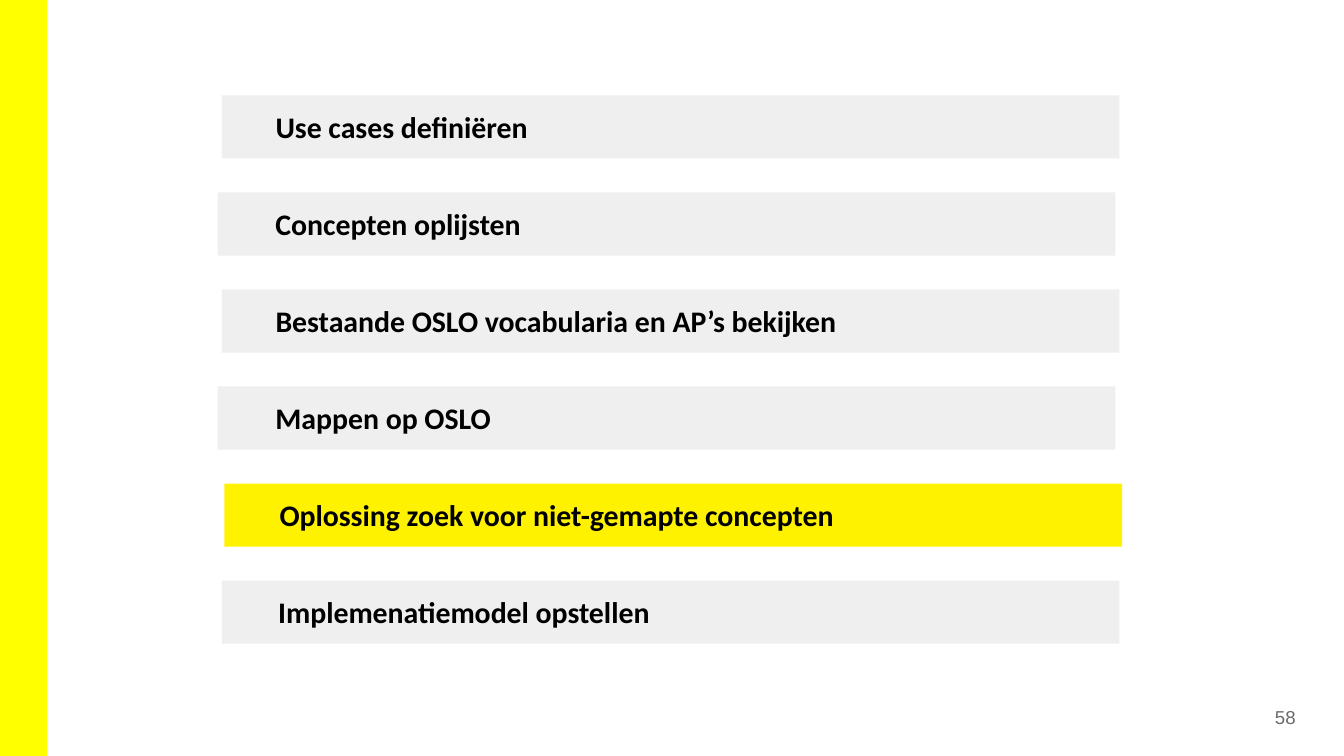
from dataclasses import dataclass

from pptx import Presentation
from pptx.dml.color import RGBColor
from pptx.enum.shapes import MSO_SHAPE
from pptx.enum.text import MSO_ANCHOR, PP_ALIGN
from pptx.util import Inches, Pt


@dataclass(frozen=True)
class Theme:
    accent: str = "FFFF00"
    highlight: str = "FFF200"
    bar: str = "EFEFEF"
    text: str = "000000"
    muted: str = "6B6B6B"
    step_font: str = "Calibri"
    number_font: str = "Arial"
    step_size: int = 16
    number_size: int = 10


SLIDE_WIDTH = 10
SLIDE_HEIGHT = SLIDE_WIDTH * 9 / 16
BAR_WIDTH, BAR_HEIGHT = 6.68, 0.47
FIRST_TOP, LAST_TOP = 0.71, 4.32
LABEL_OFFSET = 0.1
LABEL_SIZES = [(6.38, 0.16), (6.07, 0.27)]  # alternate from step to step

# label, left of bar, left of label
STEPS = [
    ("Use cases definiëren", 1.65, 2.05),
    ("Concepten oplijsten", 1.62, 2.05),
    ("Bestaande OSLO vocabularia en AP’s bekijken", 1.65, 2.05),
    ("Mappen op OSLO", 1.62, 2.05),
    ("Oplossing zoek voor niet-gemapte concepten", 1.67, 2.08),
    ("Implemenatiemodel opstellen", 1.65, 2.07),
]
STEP_PITCH = (LAST_TOP - FIRST_TOP) / (len(STEPS) - 1)
CURRENT_STEP = 4


def write_text(text_frame, text, *, font, size, color, bold=False,
               align=PP_ALIGN.LEFT, anchor=MSO_ANCHOR.TOP, inset=0):
    text_frame.word_wrap = True
    text_frame.vertical_anchor = anchor
    text_frame.margin_left = text_frame.margin_right = Inches(inset)
    text_frame.margin_top = text_frame.margin_bottom = Inches(inset)
    paragraph = text_frame.paragraphs[0]
    paragraph.alignment = align
    run = paragraph.add_run()
    run.text = text
    run.font.name = font
    run.font.size = Pt(size)
    run.font.bold = bold
    run.font.color.rgb = RGBColor.from_string(color)


class SlideBuilder:
    def __init__(self, slide, theme):
        self.slide = slide
        self.theme = theme

    def rectangle(self, left, top, width, height, color):
        shape = self.slide.shapes.add_shape(
            MSO_SHAPE.RECTANGLE,
            Inches(left), Inches(top), Inches(width), Inches(height))
        shape.shadow.inherit = False
        shape.fill.solid()
        shape.fill.fore_color.rgb = RGBColor.from_string(color)
        shape.line.fill.background()

    def text_box(self, left, top, width, height, text, **text_format):
        shape = self.slide.shapes.add_textbox(
            Inches(left), Inches(top), Inches(width), Inches(height))
        write_text(shape.text_frame, text, **text_format)

    def step(self, index, label, bar_left, label_left):
        theme = self.theme
        top = FIRST_TOP + index * STEP_PITCH
        color = theme.highlight if index == CURRENT_STEP else theme.bar
        self.rectangle(bar_left, top, BAR_WIDTH, BAR_HEIGHT, color)
        self.text_box(label_left, top + LABEL_OFFSET, *LABEL_SIZES[index % 2],
                      label, font=theme.step_font, size=theme.step_size,
                      color=theme.text, bold=True)

    def slide_number(self, number):
        theme = self.theme
        self.text_box(8.93, 5.23, 0.75, 0.21, number, font=theme.number_font,
                      size=theme.number_size, color=theme.muted,
                      align=PP_ALIGN.RIGHT, anchor=MSO_ANCHOR.MIDDLE, inset=0.04)


def main():
    presentation = Presentation()
    presentation.slide_width = Inches(SLIDE_WIDTH)
    presentation.slide_height = Inches(SLIDE_HEIGHT)
    blank_layout = presentation.slide_layouts[6]
    theme = Theme()
    builder = SlideBuilder(presentation.slides.add_slide(blank_layout), theme)

    builder.rectangle(0, 0, 0.35, SLIDE_HEIGHT, theme.accent)
    for index, (label, bar_left, label_left) in enumerate(STEPS):
        builder.step(index, label, bar_left, label_left)
    builder.slide_number("58")

    presentation.save("out.pptx")


if __name__ == "__main__":
    main()
